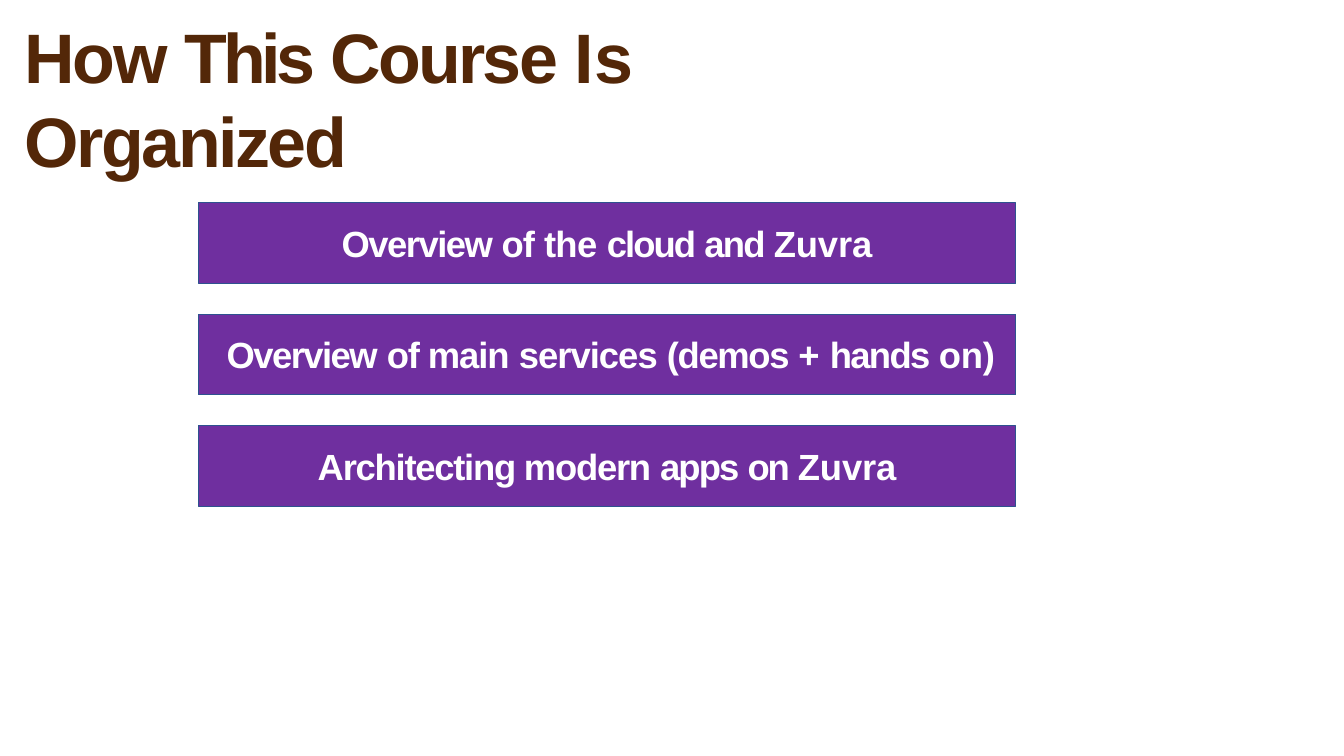
from pptx import Presentation
from pptx.dml.color import RGBColor
from pptx.enum.shapes import MSO_SHAPE
from pptx.enum.text import MSO_ANCHOR, PP_ALIGN
from pptx.util import Cm, Pt

# Each phrase carries its letter spacing in points.
TITLE = [("How ", -1.8), ("This ", -3.1), ("Course ", -2), ("Is ", 0), ("Organized", -1.8)]
MODULES = [
    ([("Overview ", -1.1), ("of ", -0.7), ("the ", -0.5), ("cloud ", -1.4),
      ("and ", -1.3), ("Zuvra", -0.1)], PP_ALIGN.CENTER, 0),
    ([("Overview", -1.1), (" of main ", -0.8), ("services ", -0.7), ("(demos ", -1),
      ("+ ", 0), ("hands ", -1.2), ("on)", -0.2)], PP_ALIGN.LEFT, 0.71),
    ([("Architecting modern ", -0.9), ("apps ", -1.4), ("on ", -1.6),
      ("Zuvra", -0.1)], PP_ALIGN.CENTER, 0),
]

BROWN = RGBColor(0x53, 0x27, 0x08)
PURPLE = RGBColor(0x6F, 0x2F, 0x9F)
NAVY = RGBColor(0x2E, 0x52, 0x8F)
WHITE = RGBColor(0xFF, 0xFF, 0xFF)

BAR_LEFT, BAR_TOP, BAR_WIDTH, BAR_HEIGHT = 5, 5.11, 20.6, 2.03
BAR_PITCH = 2.81


def write_phrases(shape, phrases, size, color, align, left_inset, top_inset):
    frame = shape.text_frame
    frame.word_wrap = True
    frame.vertical_anchor = MSO_ANCHOR.TOP
    frame.margin_left, frame.margin_top = Cm(left_inset), Cm(top_inset)
    frame.margin_right = frame.margin_bottom = 0
    paragraph = frame.paragraphs[0]
    paragraph.alignment = align
    for words, spacing in phrases:
        run = paragraph.add_run()
        run.text = words
        run.font._element.set("spc", str(round(spacing * 100)))
    font = paragraph.font
    font.name, font.size, font.bold = "Arial", Pt(size), True
    font.color.rgb = color


presentation = Presentation()
presentation.slide_width, presentation.slide_height = Cm(33.87), Cm(19.05)
slide = presentation.slides.add_slide(presentation.slide_layouts[6])

title = slide.shapes.add_textbox(Cm(0.6), Cm(0.3), Cm(23.7), Cm(2.18))
write_phrases(title, TITLE, 50, BROWN, PP_ALIGN.LEFT, 0.03, 0.03)

for row, (phrases, align, indent) in enumerate(MODULES):
    bar = slide.shapes.add_shape(
        MSO_SHAPE.RECTANGLE, Cm(BAR_LEFT), Cm(BAR_TOP + row * BAR_PITCH),
        Cm(BAR_WIDTH), Cm(BAR_HEIGHT))
    bar.shadow.inherit = False
    bar.fill.solid()
    bar.fill.fore_color.rgb = PURPLE
    bar.line.color.rgb = NAVY
    bar.line.width = Pt(1)
    write_phrases(bar, phrases, 26, WHITE, align, indent, 0.46)

presentation.save("out.pptx")
